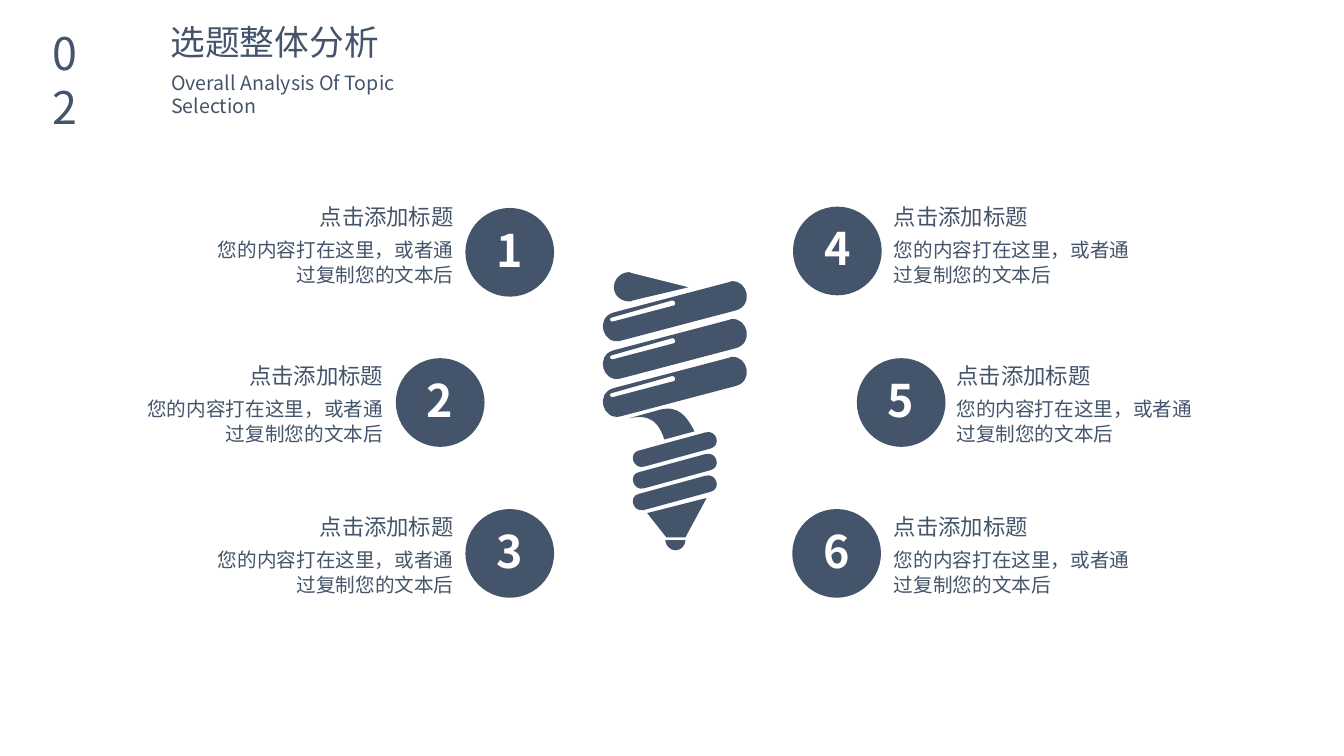
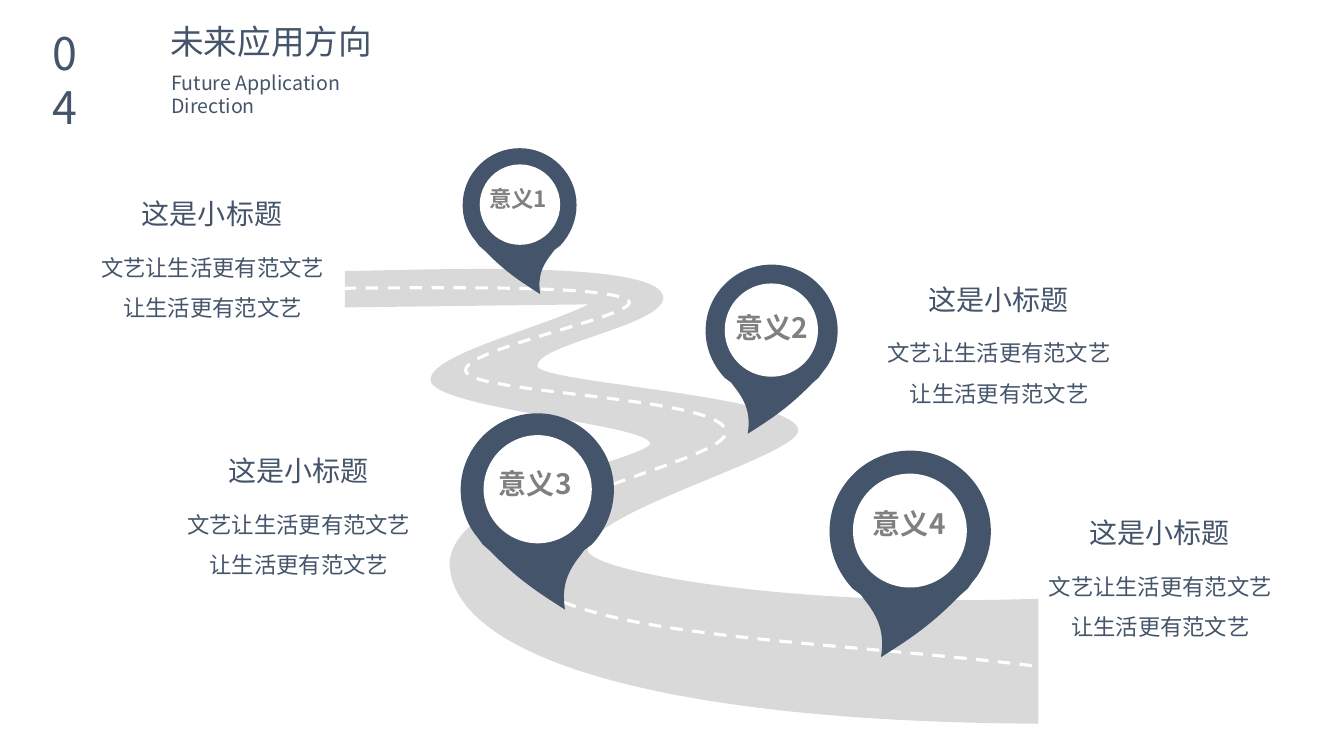
from lxml import etree
from pptx import Presentation
from pptx.dml.color import RGBColor
from pptx.enum.dml import MSO_LINE
from pptx.enum.shapes import MSO_SHAPE
from pptx.enum.text import MSO_ANCHOR, MSO_AUTO_SIZE, PP_ALIGN
from pptx.oxml.ns import qn
from pptx.util import Inches, Pt

LEFT, RIGHT = PP_ALIGN.LEFT, PP_ALIGN.RIGHT
CENTER, JUSTIFY = PP_ALIGN.CENTER, PP_ALIGN.JUSTIFY
TOP, MIDDLE = MSO_ANCHOR.TOP, MSO_ANCHOR.MIDDLE
ELLIPSE, DASH, NO_FIT = MSO_SHAPE.OVAL, MSO_LINE.DASH, MSO_AUTO_SIZE.NONE

# Shared style; every length is counted in square grid cells
CELL = Inches(0.1)
COLUMNS, ROWS = 133.33, 75
FONT = "Noto Sans CJK SC"
NAVY, GRAY, ROAD, WHITE = "44546A", "808080", "D9D9D9", "FFFFFF"
INSETS = (1, 0.5, 1, 0.5)
FLUSH = (0, 0, 0, 0)
TITLE_ONLY = 5
CURVE_STEPS = 24

# Outlines: M moves, L draws a line, C draws a cubic curve, Z closes
COIL = """M 66.7 29.8 L 60.7 31.5 C 60.4 31.5 60.5 32 60.8 31.9 L 66.9 30.3
    C 67.1 30.2 67 29.8 66.7 29.8 Z
    M 72.6 27.9 C 74.2 27.8 74.8 30.3 73 30.8 L 61.6 33.8
    C 59.8 34.3 59 31.5 60.9 31 L 72.3 28 C 72.4 27.9 72.5 27.9 72.6 27.9 Z"""
COIL_END = """M 62.4 27 C 62.5 27 62.6 27 62.7 27.1 L 68.3 28.5 L 62.8 29.8
    C 62.7 29.9 62.5 29.9 62.4 29.9 C 61.6 29.9 60.9 29.3 60.9 28.5
    C 60.9 27.7 61.6 27 62.4 27 Z"""
NECK = """M 65.3 40.7 C 67.3 40.1 68.1 41.3 68.9 42.8 L 65.9 43.6
    C 65.1 41 63.5 41.3 62.4 41.5 Z"""
THREAD = """M 63.4 44.7 C 62.3 44.9 62.8 46.6 63.9 46.3 L 70.5 44.5
    C 71.6 44.2 71.1 42.6 70 42.9 Z"""
CONE = "M 70.1 49.4 L 68 53.3 L 66.1 53.3 L 64.2 50.9 Z"
CONTACT = "M 68 53.6 C 68 54.1 67.6 54.6 67 54.6 C 66.5 54.6 66 54.1 66 53.6 Z"
ROADWAY = """M 34.2 30.5 L 34.2 26.9 C 45 26.7 65.9 25.9 65.8 29.6
    C 65.6 32.3 53.2 34.2 53.3 36.3 C 53.3 38 79 39.2 79.2 42.7
    C 79.1 45.3 58.2 50.8 58.3 54.6 C 58.5 56.7 78.4 60.3 103 59.4
    L 103 71.8 C 63.8 71.6 44.8 64.7 44.6 55.9
    C 44.9 48.8 64.3 45.5 64.5 44 C 64.4 42.1 42.8 40.5 42.7 37.7
    C 42.7 35.2 53.2 32.7 58.4 30.2 Z"""
LANE = """M 34.1 28.6 C 47.2 28.5 60.3 28.4 62.3 29.8
    C 64.3 31.2 44.6 34.8 46.3 37 C 47.9 39.1 71.2 39.4 72 42.7
    C 72.9 45.9 46.1 49.9 51.2 56.6 C 56.3 63.3 79.6 63.3 102.9 66.1"""
PIN_WIDTH = 16
PIN = """M 8 0 C 12.4 0 16 3.6 16 8 C 16 9.7 15.5 11.2 14.6 12.5
    L 14.2 13 L 13.7 13.7 L 12.9 14.4 C 9.9 17.5 7.6 18.9 5.1 20.5
    C 5.5 18.1 4.8 16.7 4 15.5 L 3.1 14.3 L 2.3 13.7
    C 0.9 12.2 0 10.2 0 8 C 0 3.6 3.6 0 8 0 Z"""


def color(value):
    return RGBColor.from_string(value)


def cells(*values):
    return [round(value * CELL) for value in values]


def read_outline(outline, place):
    """List the steps of an outline as (command, placed points)."""
    tokens = iter(outline.split())
    counts = {"M": 1, "L": 1, "C": 3, "Z": 0}
    return [(command, [place(float(next(tokens)), float(next(tokens)))
                       for _ in range(counts[command])]) for command in tokens]


def extent(steps):
    """Return left, top, right and bottom of the drawn outline."""
    reached, last = [], None
    for command, points in steps:
        if command == "C":
            corners = [last] + points
            for step in range(CURVE_STEPS):
                t = step / CURVE_STEPS
                weights = ((1 - t) ** 3, 3 * t * (1 - t) ** 2, 3 * t * t * (1 - t), t ** 3)
                reached.append([round(sum(w * corner[axis] for w, corner in zip(weights, corners)))
                                for axis in (0, 1)])
        if points:
            last = points[-1]
            reached.append(last)
    across, down = zip(*reached)
    return min(across), min(down), max(across), max(down)


def bend(shape, steps):
    """Give a freeform its curves and fit its frame to them."""
    left, top, right, bottom = extent(steps)
    shape.left, shape.top = left, top
    shape.width, shape.height = right - left, bottom - top
    contour = next(shape._element.iter(qn("a:path")))
    contour.set("w", str(right - left))
    contour.set("h", str(bottom - top))
    for element, (command, points) in zip(list(contour), steps):
        if command == "Z":
            continue
        tag = {"M": "a:moveTo", "L": "a:lnTo", "C": "a:cubicBezTo"}[command]
        drawn = etree.Element(qn(tag))
        for x, y in points:
            etree.SubElement(drawn, qn("a:pt"), x=str(x - left), y=str(y - top))
        contour.replace(element, drawn)


def write(shape, text, size, ink=NAVY, bold=False, align=LEFT, anchor=TOP,
          insets=INSETS, spacing=None):
    frame = shape.text_frame
    frame.word_wrap = True
    frame.auto_size = NO_FIT
    frame.vertical_anchor = anchor
    (frame.margin_left, frame.margin_top,
     frame.margin_right, frame.margin_bottom) = cells(*insets)
    para = frame.paragraphs[0]
    para.alignment = align
    if spacing:
        para.line_spacing = spacing
    span = para.add_run()
    span.text = text
    span.font.size = Pt(size)
    span.font.bold = bold
    span.font.name = FONT
    span.font.color.rgb = color(ink)
    east_asian = etree.SubElement(span._r.get_or_add_rPr(), qn("a:ea"))
    east_asian.set("typeface", FONT)


class Board:
    """The deck, its style and the slide being drawn."""

    def __init__(self):
        self.deck = Presentation()
        self.deck.slide_width, self.deck.slide_height = cells(COLUMNS, ROWS)
        self.page = None

    def start(self, number, title, title_size, subtitle, subtitle_width):
        self.page = self.deck.slides.add_slide(self.deck.slide_layouts[TITLE_ONLY])
        heading = self.page.shapes.title
        heading.left, heading.top, heading.width, heading.height = cells(16.9, 2.1, 31, 4.2)
        write(heading, title, title_size, insets=FLUSH)
        self.text(number, (5.2, 2.6, 4.8, 10.8), size=32, align=JUSTIFY, insets=FLUSH)
        self.text(subtitle, (16, 6.53, subtitle_width, 3.4), size=14)

    def text(self, text, area, **style):
        box = self.page.shapes.add_textbox(*cells(*area))
        write(box, text, **style)

    def paint(self, shape, fill):
        shape.shadow.inherit = False
        shape.fill.solid()
        shape.fill.fore_color.rgb = color(fill)
        shape.line.fill.background()

    def circle(self, left, top, size, fill=NAVY):
        shape = self.page.shapes.add_shape(ELLIPSE, *cells(left, top, size, size))
        self.paint(shape, fill)
        return shape

    def freeform(self, outline, left=0, top=0, scale=1, mirror=None):
        """Draw an outline; mirror is the width within which it is flipped."""
        def place(x, y):
            across = x if mirror is None else mirror - x
            return tuple(cells(left + across * scale, top + y * scale))

        steps = read_outline(outline, place)
        builder = self.page.shapes.build_freeform(*steps[0][1][0])
        for index, (command, points) in enumerate(steps[1:], 1):
            if command == "M":
                builder.move_to(*points[0])
            elif command != "Z":
                closes = steps[index + 1:index + 2] == [("Z", [])]
                builder.add_line_segments(points[-1:], close=closes)
        shape = builder.convert_to_shape()
        bend(shape, steps)
        return shape

    def solid(self, outline, fill=NAVY, **placing):
        self.paint(self.freeform(outline, **placing), fill)

    def dashes(self, outline, ink, width):
        shape = self.freeform(outline)
        shape.shadow.inherit = False
        shape.fill.background()
        shape.line.color.rgb = color(ink)
        shape.line.width = Pt(width)
        shape.line.dash_style = DASH

    def pin(self, left, top, width, mirror):
        self.solid(PIN, left=left, top=top, scale=width / PIN_WIDTH,
                   mirror=PIN_WIDTH if mirror else None)
        inset = 0.15 if mirror else 0.145
        self.circle(left + inset * width, top + 0.143 * width, 0.706 * width, WHITE)

    def topic(self, number, circle_at, text_at, align):
        """A numbered circle with a heading and text that start or end at text_at."""
        disc = self.circle(*circle_at, 8.8)
        write(disc, str(number), 32, WHITE, bold=True, align=CENTER,
              anchor=MIDDLE, insets=(0, 0, 0, 0.6))
        edge, top = text_at
        for text, down, width, height, style in (
                ("您的内容打在这里，或者通过复制您的文本后", 3.3, 26.4, 6.1,
                 {"size": 14, "spacing": Pt(18)}),
                ("点击添加标题", 0, 23.5, 3.7, {"size": 16})):
            left = edge - width if align == RIGHT else edge
            self.text(text, (left, top + down, width, height), align=align, **style)

    def caption(self, left, top):
        self.text("这是小标题", (left + 4.55, top, 16.7, 4.4), size=20)
        self.text("文艺让生活更有范文艺让生活更有范文艺", (left, top + 4.35, 25.1, 8.6),
                  size=16, align=CENTER, spacing=1.5)


def draw_analysis(board):
    board.start("02", "选题整体分析", 24.8, "Overall Analysis Of Topic Selection", 29.8)

    # Lamp
    for row in range(3):
        board.solid(THREAD, top=2.15 * row)
    for outline in (NECK, CONE, CONTACT, COIL_END):
        board.solid(outline)
    for row in range(3):
        board.solid(COIL, top=3.75 * row)

    # Topics on both sides, the middle row set further out
    text_tops = (19.63, 35.4, 50.4)
    sides = ((1, RIGHT, (20.63, 35.53, 50.5), (46.17, 39.27, 46.17), (46, 39, 46)),
             (4, LEFT, (20.5, 35.53, 50.5), (78.67, 85, 78.6), (87.7, 93.9, 87.7)))
    for first, align, circle_tops, circle_lefts, text_edges in sides:
        for row in range(3):
            board.topic(first + row, (circle_lefts[row], circle_tops[row]),
                        (text_edges[row], text_tops[row]), align)


def draw_directions(board):
    board.start("04", "未来应用方向", 24, "Future Application Direction", 24.5)

    # Road
    board.solid(ROADWAY, ROAD)
    board.dashes(LANE, WHITE, 2.25)

    # Stops: pin (left, top, width, mirrored), label area, label size, caption corner
    stops = (
        ((45.9, 14.7, 11.3, True), (47.35, 17.9, 8.1, 3.7), 16, (8.55, 19)),
        ((70, 26.25, 13.1, False), (70.9, 30.27, 11.4, 4.4), 20, (86.57, 27.5)),
        ((45.7, 41, 15.2, True), (47.4, 45.8, 11.4, 4.4), 20, (17.1, 44.5)),
        ((82.3, 44.7, 16, False), (84.5, 49.8, 11.4, 4.4), 20, (102.57, 50.65)),
    )
    for pin, *_ in reversed(stops):
        board.pin(*pin)
    for number, (_, area, size, _) in enumerate(stops, 1):
        board.text(f"意义{number}", area, size=size, ink=GRAY, bold=True, align=CENTER)
    for *_, corner in stops:
        board.caption(*corner)


def main():
    board = Board()
    draw_analysis(board)
    draw_directions(board)
    board.deck.save("out.pptx")


if __name__ == "__main__":
    main()
